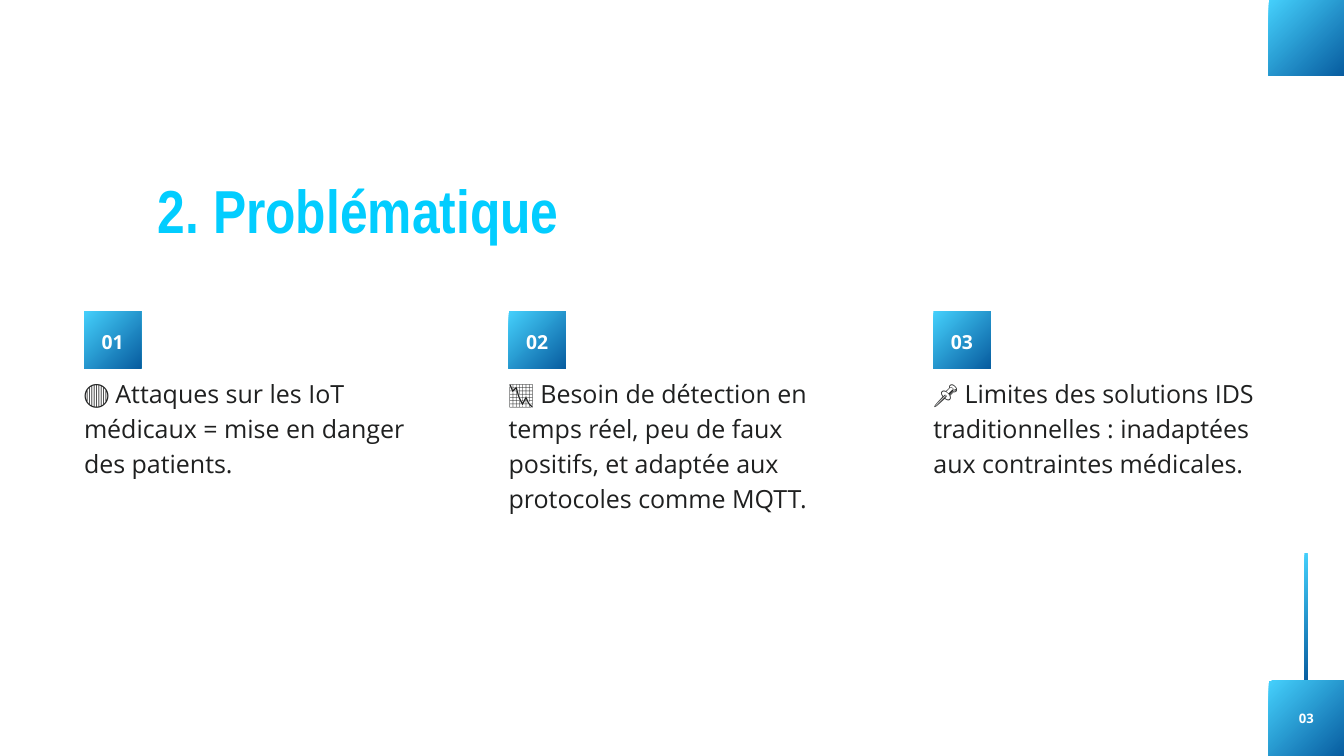
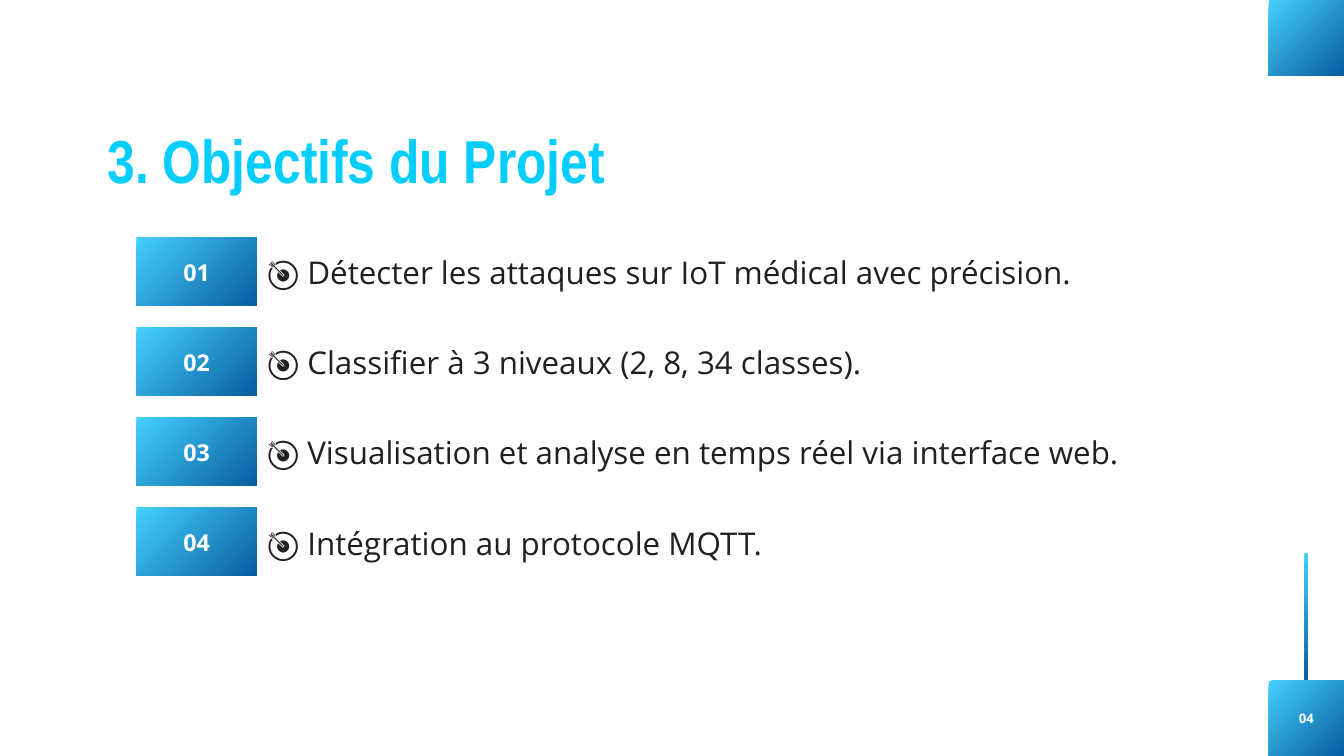
from pptx import Presentation
from pptx import util as u
from pptx.dml.color import RGBColor
from pptx.enum import shapes, text

SKY = RGBColor(0x45, 0xD0, 0xFC)
NAVY = RGBColor(0x08, 0x5D, 0xA0)
CYAN = RGBColor(0x02, 0xCD, 0xFF)
INK = RGBColor(0x1F, 0x20, 0x20)
WHITE = RGBColor(0xFF, 0xFF, 0xFF)
TITLE_FONT, BODY_FONT = "Arial Narrow", "Open Sans"
SLIDE_W, SLIDE_H = 20, 11.25
CORNER = 1.12

PROBLEMS = [
    ("🔴 Attaques sur les IoT médicaux = mise en danger des patients.", 5.45, 1.55),
    ("📉 Besoin de détection en temps réel, peu de faux positifs, "
     "et adaptée aux protocoles comme MQTT.", 5.03, 2.07),
    ("📌 Limites des solutions IDS traditionnelles : "
     "inadaptées aux contraintes médicales.", 5.01, 1.55),
]
GOALS = [
    "🎯 Détecter les attaques sur IoT médical avec précision.",
    "🎯 Classifier à 3 niveaux (2, 8, 34 classes).",
    "🎯 Visualisation et analyse en temps réel via interface web.",
    "🎯 Intégration au protocole MQTT.",
]


def add_block(s, x, y, w, h):
    sp = s.shapes.add_shape(shapes.MSO_SHAPE.RECTANGLE, *map(u.Inches, (x, y, w, h)))
    sp.shadow.inherit = False
    sp.line.fill.background()
    sp.fill.gradient()
    sp.fill.gradient_angle = 315
    for stop, color in zip(sp.fill.gradient_stops, (SKY, NAVY)):
        stop.color.rgb = color


def add_text(s, content, x, y, w, h, size, spacing, color=INK, bold=False,
             font=BODY_FONT, align=text.PP_ALIGN.LEFT):
    tf = s.shapes.add_textbox(*map(u.Inches, (x, y, w, h))).text_frame
    tf.word_wrap = True
    tf.auto_size = text.MSO_AUTO_SIZE.SHAPE_TO_FIT_TEXT
    tf.margin_left = tf.margin_right = tf.margin_top = tf.margin_bottom = 0
    p = tf.paragraphs[0]
    p.alignment = align
    p.line_spacing = u.Pt(spacing)
    r = p.add_run()
    r.text = content
    r.font.name = font
    r.font.size = u.Pt(size)
    r.font.bold = bold
    r.font.color.rgb = color


def add_number(s, number, x, y, w, h, size, spacing):
    add_text(s, f"{number:02d}", x, y, w, h, size, spacing, WHITE, True,
             align=text.PP_ALIGN.CENTER)


def add_page(prs, number, title, x, y, w):
    s = prs.slides.add_slide(prs.slide_layouts[6])
    left, bottom = SLIDE_W - CORNER, SLIDE_H - CORNER
    add_block(s, 19.41, 8.23, 0.05, 1.9)
    add_block(s, left, 0, CORNER, CORNER)
    add_block(s, left, bottom, CORNER, CORNER)
    add_number(s, number, 19.14, 10.54, 0.6, 0.26, 14, 19.6)
    add_text(s, title, x, y, w, 1.01, 65, 71.5, CYAN, True, TITLE_FONT)
    return s


def build_problems(prs):
    s = add_page(prs, 3, "2. Problématique", 2.35, 2.66, 8.19)
    for i, (problem, w, h) in enumerate(PROBLEMS):
        x = 1.25 + i * 6.32
        add_block(s, x, 4.63, 0.85, 0.85)
        add_number(s, i + 1, x + 0.11, 4.85, 0.63, 0.38, 20.7, 29)
        add_text(s, problem, x, 5.56, w, h, 26.8, 37.5)


def build_goals(prs):
    s = add_page(prs, 4, "3. Objectifs du Projet", 1.6, 1.92, 8.86)
    for i, goal in enumerate(GOALS):
        y = 3.53 + i * 1.34
        add_block(s, 2.03, y, 1.79, 1.02)
        add_text(s, goal, 3.98, y + 0.15, 13.56, 0.64, 33.6, 47)
        add_number(s, i + 1, 2.27, y + 0.25, 1.31, 0.46, 24.9, 34.8)


def main():
    prs = Presentation()
    prs.slide_width = u.Inches(SLIDE_W)
    prs.slide_height = u.Inches(SLIDE_H)
    build_problems(prs)
    build_goals(prs)
    prs.save("out.pptx")


if __name__ == "__main__":
    main()
